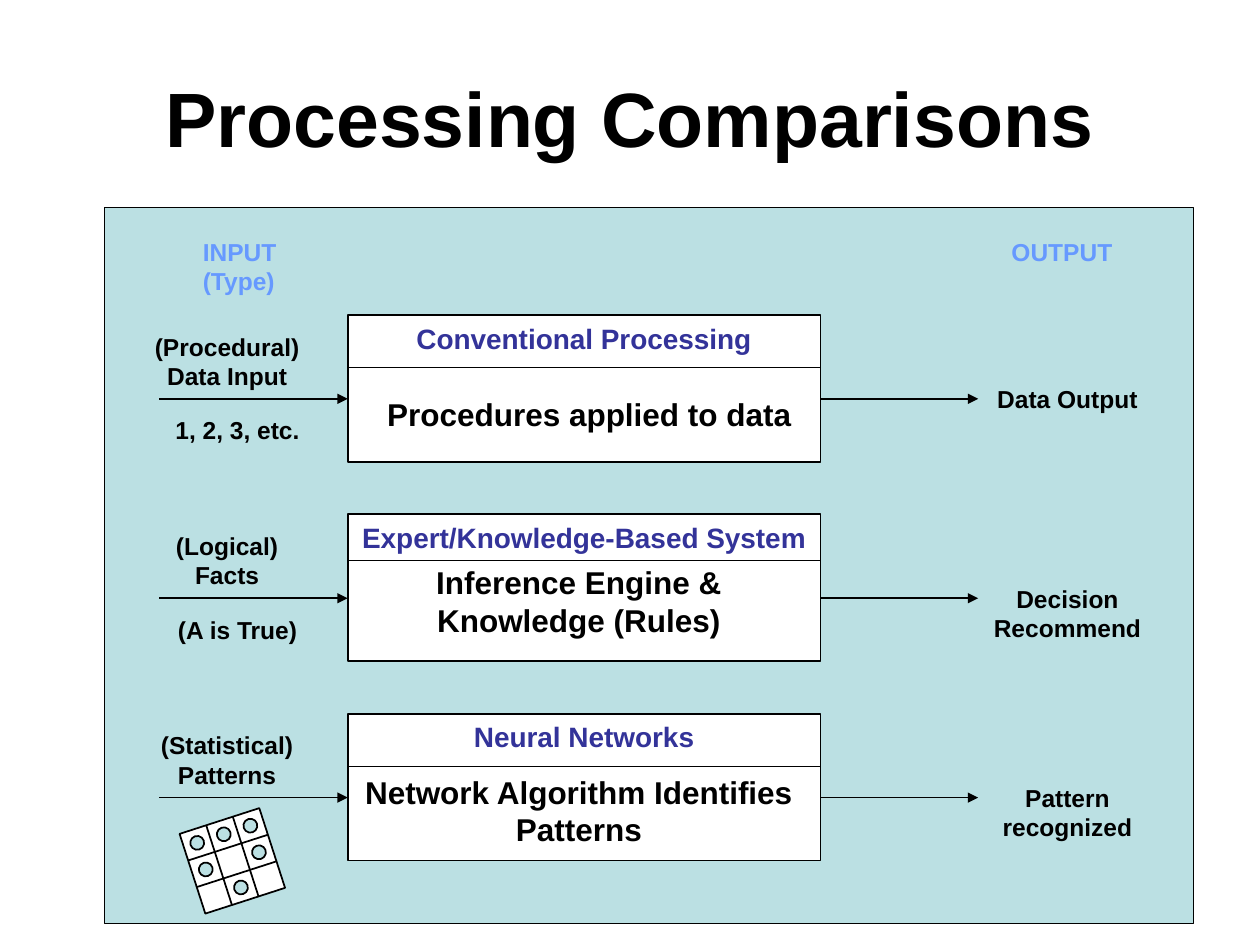
from math import cos, radians, sin

from lxml.etree import SubElement
from pptx import Presentation
from pptx.dml.color import RGBColor
from pptx.enum.shapes import MSO_CONNECTOR, MSO_SHAPE
from pptx.enum.text import MSO_ANCHOR, PP_ALIGN
from pptx.oxml.ns import qn
from pptx.util import Cm, Pt

BLACK, WHITE, PALE_TEAL = "000000", "FFFFFF", "BBE0E3"
LABEL_BLUE, HEADING_BLUE = "6699FF", "333399"
LABEL_WIDTH = 4.02
ROW_PITCH = 4.02

ROWS = [
    {
        "heading": "Conventional Processing", "divider": 1.06,
        "process": "Procedures applied to data", "process_at": (4.65, 1.48),
        "input": ["(Procedural)", "Data Input"], "example": "1, 2, 3, etc.",
        "output": "Data Output",
    },
    {
        "heading": "Expert/Knowledge-Based System", "divider": 0.93,
        "process": "Inference Engine & Knowledge (Rules)", "process_at": (4.44, 0.85),
        "input": ["(Logical)", "Facts"], "example": "(A is True)",
        "output": "Decision Recommend",
    },
    {
        "heading": "Neural Networks", "divider": 1.06,
        "process": "Network Algorithm Identifies Patterns", "process_at": (4.44, 1.06),
        "input": ["(Statistical)", "Patterns"], "example": None,
        "output": "Pattern recognized",
    },
]


def color(hex_value):
    return RGBColor.from_string(hex_value)


def apply(target, values):
    for name, value in values.items():
        setattr(target, name, value)


def add_text(slide, box, lines, size, hex_value=BLACK,
             align=PP_ALIGN.CENTER, anchor=MSO_ANCHOR.TOP):
    frame = slide.shapes.add_textbox(*map(Cm, box)).text_frame
    apply(frame, {"word_wrap": True, "vertical_anchor": anchor})
    for index, line in enumerate(lines):
        paragraph = frame.paragraphs[0] if index == 0 else frame.add_paragraph()
        paragraph.alignment = align
        run = paragraph.add_run()
        run.text = line
        apply(run.font, {"name": "Arial", "size": Pt(size), "bold": True})
        run.font.color.rgb = color(hex_value)


def add_outlined(slide, preset, box, fill, width=1, rotation=0):
    outlined = slide.shapes.add_shape(preset, *map(Cm, box))
    outlined.shadow.inherit = False
    outlined.rotation = rotation
    outlined.fill.solid()
    outlined.fill.fore_color.rgb = color(fill)
    outlined.line.color.rgb = color(BLACK)
    outlined.line.width = Pt(width)


def add_line(slide, start, end, arrow=False):
    line = slide.shapes.add_connector(MSO_CONNECTOR.STRAIGHT, *map(Cm, (*start, *end)))
    line.line.color.rgb = color(BLACK)
    line.line.width = Pt(1)
    if arrow:
        SubElement(line.line._get_or_add_ln(), qn("a:tailEnd"), type="triangle")
    SubElement(line._element.spPr, qn("a:effectLst"))


def add_title(slide, box):
    add_text(slide, box, ["Processing Comparisons"], 44, anchor=MSO_ANCHOR.MIDDLE)


def add_panel(slide, box):
    left, top, _, _ = box
    add_outlined(slide, MSO_SHAPE.RECTANGLE, box, PALE_TEAL, 0.75)
    add_text(slide, (left + 1.73, top + 0.46, 2.06, 1.45), ["INPUT", "(Type)"],
             14, LABEL_BLUE, PP_ALIGN.LEFT)
    add_text(slide, (left + 18.03, top + 0.46, 2.74, 1.45), ["OUTPUT"],
             14, LABEL_BLUE, PP_ALIGN.LEFT)


def add_process_row(slide, box, row):
    left, top, _, height = box
    block_left, block_width = left + 4.44, 9.53
    block_right = block_left + block_width
    divider_y, arrow_y = top + row["divider"], top + 1.69
    process_dx, process_dy = row["process_at"]

    add_outlined(slide, MSO_SHAPE.RECTANGLE,
                 (block_left, top, block_width, height), WHITE)
    add_line(slide, (block_left, divider_y), (block_right, divider_y))
    add_text(slide, (block_left, top, block_width, 0.94), [row["heading"]],
             16, HEADING_BLUE)
    add_text(slide, (left + process_dx, top + process_dy, 9.32, 1.02),
             [row["process"]], 18)

    add_line(slide, (left + 0.64, arrow_y), (block_left, arrow_y), arrow=True)
    add_text(slide, (left, top + 0.21, LABEL_WIDTH, 1.45), row["input"], 14)
    if row["example"]:
        add_text(slide, (left + 0.21, top + 1.9, LABEL_WIDTH, 0.86),
                 [row["example"]], 14)

    add_line(slide, (block_right, arrow_y), (block_right + 3.18, arrow_y), arrow=True)
    add_text(slide, (left + 16.94, top + 1.27, LABEL_WIDTH, 0.86), [row["output"]], 14)


def add_pattern_grid(slide, box, tilt=-17.9):
    left, top, size, _ = box
    cell, dot = size / 3, 0.28
    angle = radians(tilt)

    def tilted(column, row):
        x, y = column * cell, row * cell
        return (left + size / 2 + x * cos(angle) - y * sin(angle),
                top + size / 2 + x * sin(angle) + y * cos(angle))

    add_outlined(slide, MSO_SHAPE.RECTANGLE, box, WHITE, rotation=tilt)
    for offset in (-0.5, 0.5):
        add_line(slide, tilted(offset, -1.5), tilted(offset, 1.5))
        add_line(slide, tilted(-1.5, offset), tilted(1.5, offset))
    for column, row in [(-1, -1), (0, -1), (1, -1), (-1, 0), (1, 0), (0, 1)]:
        x, y = tilted(column, row)
        add_outlined(slide, MSO_SHAPE.OVAL, (x - dot / 2, y - dot / 2, dot, dot),
                     PALE_TEAL, rotation=tilt)


def main():
    presentation = Presentation()
    apply(presentation, {"slide_width": Cm(25.4), "slide_height": Cm(19.05)})
    slide = presentation.slides.add_slide(presentation.slide_layouts[6])
    add_panel(slide, (2.11, 4.19, 21.95, 14.43))
    add_title(slide, (1.27, 0.76, 22.86, 3.18))
    for index, row in enumerate(ROWS):
        add_process_row(slide, (2.57, 6.35 + index * ROW_PITCH, 20.96, 2.96), row)
    add_pattern_grid(slide, (3.84, 16.51, 1.69, 1.69))
    presentation.save("out.pptx")


if __name__ == "__main__":
    main()
